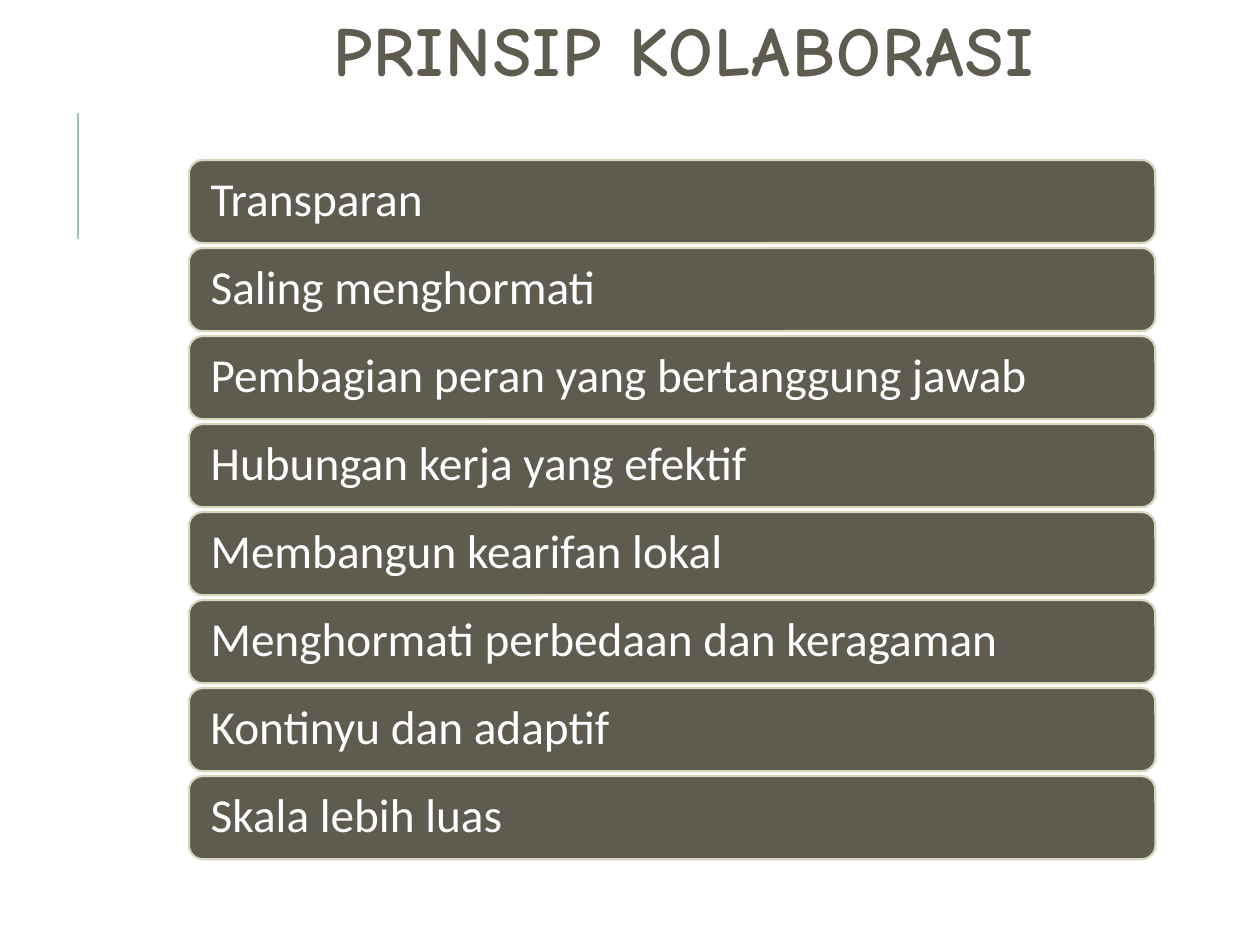
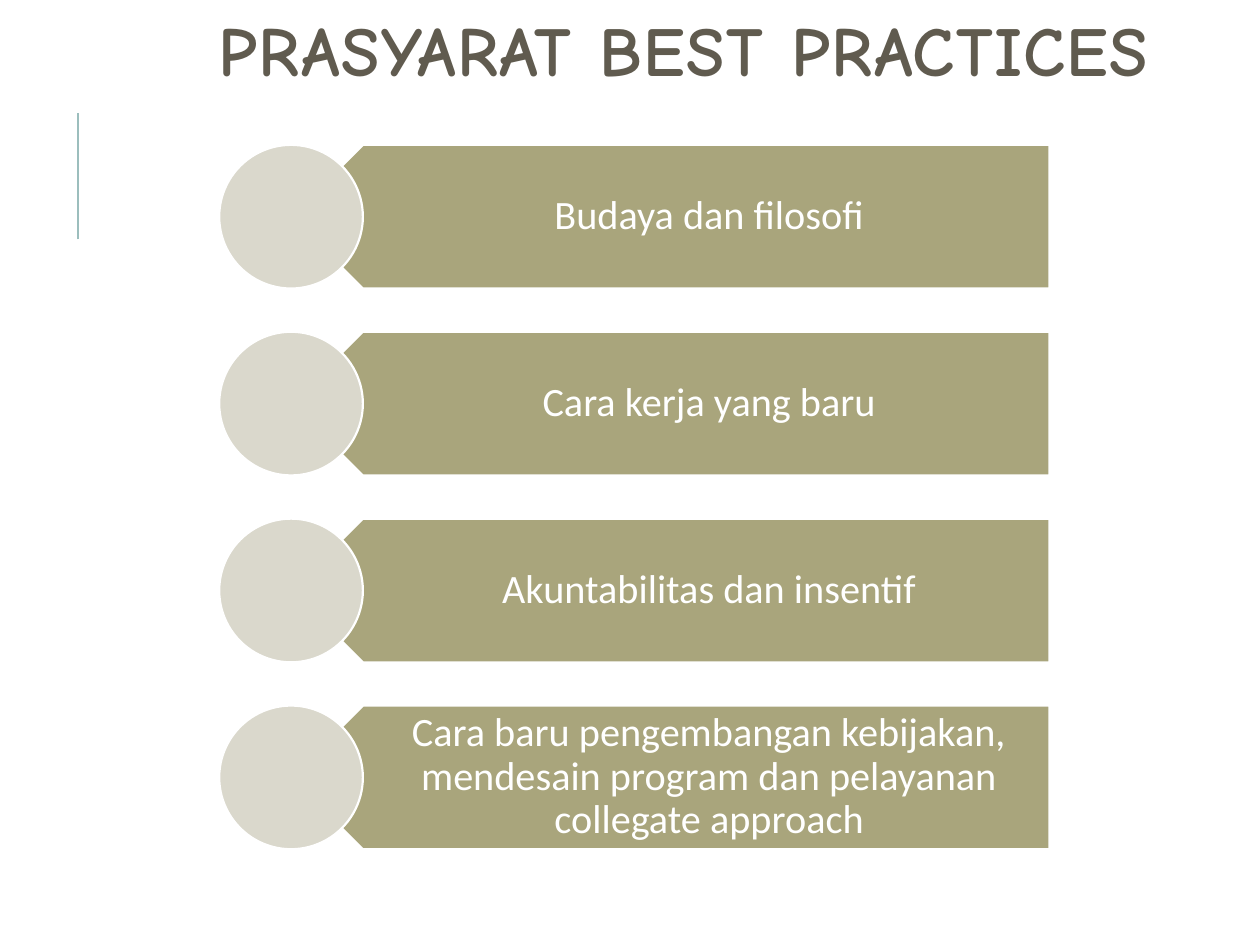
from lxml import etree
from pptx import Presentation
from pptx.dml.color import RGBColor
from pptx.enum import shapes, text as txt
from pptx.oxml import ns
from pptx.util import Inches, Pt

# Content
RULES = ("PRINSIP KOLABORASI", [
    "Transparan",
    "Saling menghormati",
    "Pembagian peran yang bertanggung jawab",
    "Hubungan kerja yang efektif",
    "Membangun kearifan lokal",
    "Menghormati perbedaan dan keragaman",
    "Kontinyu dan adaptif",
    "Skala lebih luas",
])
NEEDS = ("PRASYARAT BEST PRACTICES", [
    "Budaya dan filosofi",
    "Cara kerja yang baru",
    "Akuntabilitas dan insentif",
    "Cara baru pengembangan kebijakan, mendesain program dan pelayanan "
    "collegate approach",
])

# Shared style
HUES = {"dark": "605B4F", "edge": "D8D6BE", "olive": "A9A57C",
        "pale": "DAD8CC", "teal": "9CBEBD", "white": "FFFFFF"}
HEAD, BODY = "Comic Neue", "Calibri"
KIND = shapes.MSO_SHAPE


def hue(name):
    return RGBColor.from_string(HUES[name])


def spread(first, last, items):
    """Pair each item with its top, evenly spaced from first to last."""
    step = (last - first) / (len(items) - 1)
    return [(first + i * step, item) for i, item in enumerate(items)]


def write(shape, words, size, font=BODY, color="white", bold=False,
          center=True, line=0.9, pad=(0.1, 0.05, 0.1, 0.05), track=0):
    frame = shape.text_frame
    frame.word_wrap = True
    frame.vertical_anchor = txt.MSO_ANCHOR.MIDDLE
    (frame.margin_left, frame.margin_top,
     frame.margin_right, frame.margin_bottom) = map(Inches, pad)
    para = frame.paragraphs[0]
    para.alignment = txt.PP_ALIGN.CENTER if center else txt.PP_ALIGN.LEFT
    para.line_spacing = line
    run = para.add_run()
    run.text = words
    run.font.size, run.font.name, run.font.bold = Pt(size), font, bold
    run.font.color.rgb = hue(color)
    if track:  # letter spacing in points
        run._r.get_or_add_rPr().set("spc", str(track * 100))


def box(slide, *at):
    return slide.shapes.add_textbox(*map(Inches, at))


def draw(slide, kind, at, fill, edge):
    shape = slide.shapes.add_shape(kind, *map(Inches, at))
    shape.shadow.inherit = False
    shape.fill.solid()
    shape.fill.fore_color.rgb = hue(fill)
    shape.line.color.rgb = hue(edge)
    shape.line.width = Pt(1.25)
    return shape


def start(deck, title):
    """Add a slide with the side rule and the title."""
    slide = deck.slides.add_slide(deck.slide_layouts[6])
    rule = slide.shapes.add_connector(
        shapes.MSO_CONNECTOR.STRAIGHT,
        *map(Inches, (0.62, 1.9, 0.62, 0.9)))
    rule.line.color.rgb = hue("teal")
    rule.line.width = Pt(1.5)
    etree.SubElement(rule._element.spPr, ns.qn("a:effectLst"))
    write(box(slide, 0.98, 0.14, 8.9, 0.61), title, 40, font=HEAD,
          color="dark", bold=True, line=0.8, track=1)
    return slide


def bars(deck, title, items):
    slide = start(deck, title)
    for top, item in spread(1.27, 6.16, items):
        bar = draw(slide, KIND.ROUNDED_RECTANGLE, (1.5, top, 7.67, 0.66),
                   "dark", "edge")
        write(bar, item, 27, center=False, pad=(0.14, 0.1, 0.14, 0.1))


def tags(deck, title, items):
    slide = start(deck, title)
    size = 1.14
    for top, item in spread(1.15, 5.6, items):
        tag = draw(slide, KIND.PENTAGON, (2.31, top, 6.02, size),
                   "olive", "white")
        tag.rotation = 180
        # Upright label over the turned tag
        write(box(slide, 2.6, top, 5.74, size), item, 23,
              pad=(0.5, 0.1, 0.18, 0.1))
        draw(slide, KIND.OVAL, (1.74, top, size, size), "pale", "white")


def main():
    deck = Presentation()
    deck.slide_width, deck.slide_height = Inches(10), Inches(7.5)
    bars(deck, *RULES)
    tags(deck, *NEEDS)
    deck.save("out.pptx")


if __name__ == "__main__":
    main()
